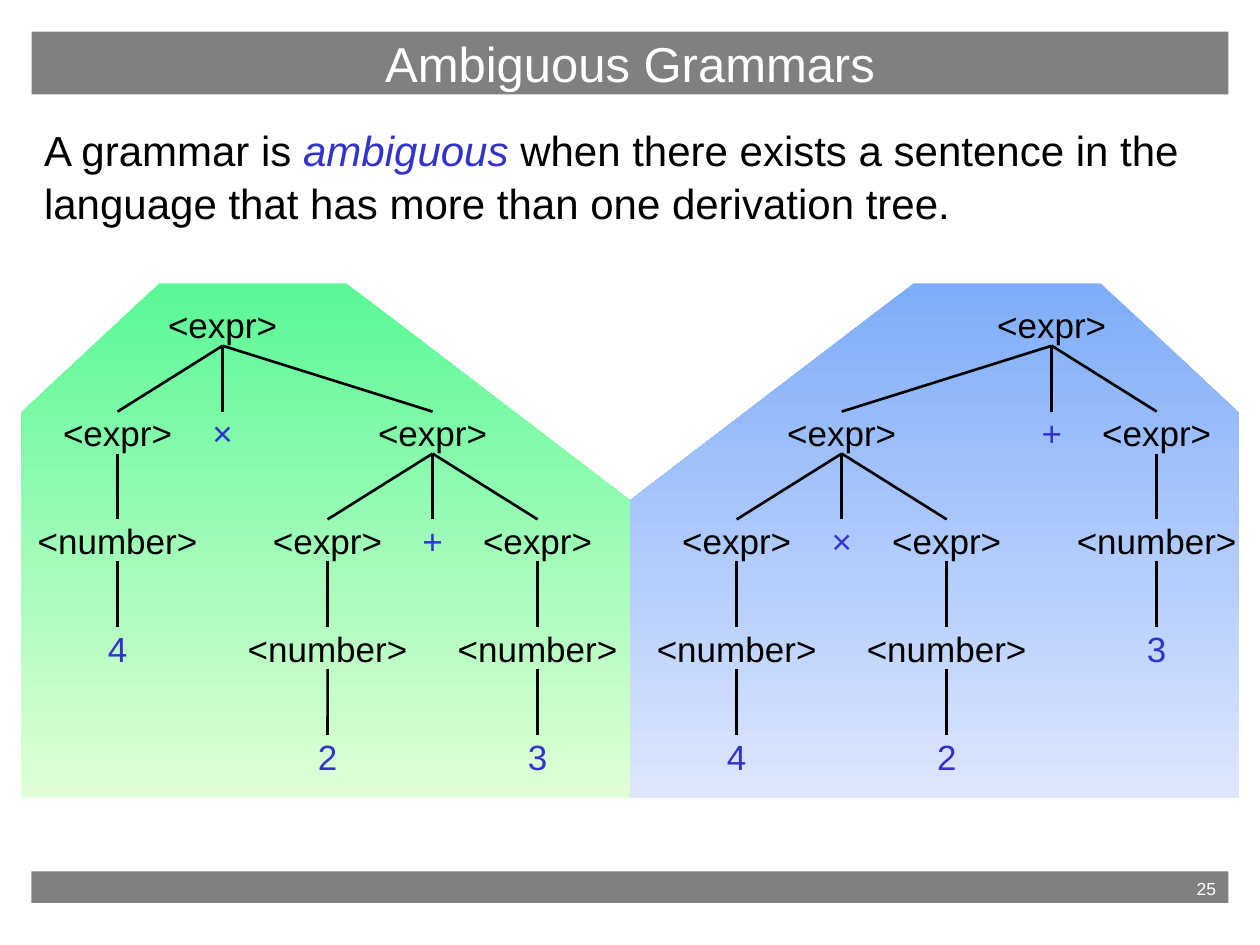
from lxml import etree
from pptx import Presentation, util as u
from pptx.dml.color import RGBColor
from pptx.enum import shapes, text
from pptx.oxml import ns

HUES = {
    "ink": "000000", "term": "3333CC", "bar": "808080", "white": "FFFFFF",
    "green": ("5AF896", "E1FFD7"), "blue": ("7FADF9", "DDE6FF"),
}
FACE = "Arial"
COL, ROW, TOP, TALL = 60, 61.6, 173.6, 24  # tree grid in points
WIDE = {"<expr>": 62.4, "<number>": 91.4}
MID = 360
EDGE = [(198, 162), (91.4, 162), (12, 236.2), (12, 456), (360, 456), (360, 286)]


def hue(name):
    return RGBColor.from_string(HUES[name])


def style(font, size, name):
    font.name, font.size = FACE, u.Pt(size)
    font.color.rgb = hue(name)


def place(shape, x, y, w, h):
    shape.left, shape.top, shape.width, shape.height = map(u.Pt, (x, y, w, h))


def paint(shape, name):
    shape.fill.solid()
    shape.fill.fore_color.rgb = hue(name)


def head(slide, words):
    title = slide.shapes.title
    place(title, 18, 18, 684, 36)
    paint(title, "bar")
    frame = title.text_frame
    frame.text = words
    frame.auto_size = text.MSO_AUTO_SIZE.NONE
    frame.vertical_anchor = text.MSO_ANCHOR.MIDDLE
    para = frame.paragraphs[0]
    para.alignment = text.PP_ALIGN.CENTER
    style(para.font, 28, "white")


def body(slide, parts):
    hold = slide.placeholders[1]
    place(hold, 18, 66, 684, 420)
    frame = hold.text_frame
    frame.auto_size = text.MSO_AUTO_SIZE.NONE
    para = frame.paragraphs[0]
    para.space_before, para.line_spacing = u.Pt(6), 1.05
    # No bullet, no indent
    props = para._p.get_or_add_pPr()
    props.set("marL", "0")
    props.set("indent", "0")
    etree.SubElement(props, ns.qn("a:buNone"))
    style(para.font, 24, "ink")
    for words, key in parts:
        run = para.add_run()
        run.text = words
        if key:
            run.font.italic = True
            run.font.color.rgb = hue("term")


def foot(slide, words):
    bar = slide.shapes.add_shape(
        shapes.MSO_SHAPE.RECTANGLE, *map(u.Pt, (18, 498, 684, 18)))
    bar.shadow.inherit = False
    paint(bar, "bar")
    bar.line.fill.background()
    frame = bar.text_frame
    frame.text = words
    frame.vertical_anchor = text.MSO_ANCHOR.TOP
    para = frame.paragraphs[0]
    para.alignment = text.PP_ALIGN.RIGHT
    style(para.font, 10, "white")


def patch(slide, pts, name):
    pen = slide.shapes.build_freeform(*pts[0], scale=u.Pt(1))
    pen.add_line_segments(pts[1:], close=True)
    shape = pen.convert_to_shape()
    shape.shadow.inherit = False
    shape.line.fill.background()
    shape.fill.gradient()
    shape.fill.gradient_angle = 270
    for stop, tint, spot in zip(shape.fill.gradient_stops, HUES[name], (0, 1)):
        stop.color.rgb = RGBColor.from_string(tint)
        stop.position = spot


def label(slide, words, x, y, name):
    wide = WIDE.get(words, 11.6)
    box = slide.shapes.add_textbox(*map(u.Pt, (x - wide / 2, y, wide, TALL)))
    frame = box.text_frame
    frame.text = words
    frame.word_wrap = False
    frame.vertical_anchor = text.MSO_ANCHOR.MIDDLE
    frame.margin_left = frame.margin_right = 0
    frame.margin_top = frame.margin_bottom = 0
    para = frame.paragraphs[0]
    para.alignment = text.PP_ALIGN.CENTER
    style(para.font, 20, name)
    return box


def link(slide, top, low):
    line = slide.shapes.add_connector(shapes.MSO_CONNECTOR.STRAIGHT, 0, 0, 0, 0)
    line.begin_connect(top, 2)
    line.end_connect(low, 0)
    line.line.width = u.Pt(1.5)
    line.line.color.rgb = hue("ink")
    etree.SubElement(line._element.spPr, ns.qn("a:effectLst"))


# A node is (words, column, children)
def num(col, digit):
    return "<expr>", col, [("<number>", col, [(digit, col, [])])]


def pair(col, sign, left, right):
    return "<expr>", col, [left, (sign, col, []), right]


def tree(slide, node, x, row=0):
    words, col, kids = node
    box = label(slide, words, x + col * COL, TOP + row * ROW,
                "ink" if kids else "term")
    for kid in kids:
        link(slide, box, tree(slide, kid, x, row + 1))
    return box


def main():
    deck = Presentation()
    deck.slide_width, deck.slide_height = u.Pt(720), u.Pt(540)
    slide = deck.slides.add_slide(deck.slide_layouts[1])

    # Title, definition and page bar
    head(slide, "Ambiguous Grammars")
    body(slide, [
        ("A grammar is ", False),
        ("ambiguous", True),
        (" when there exists a sentence in the language that has more than"
         " one derivation tree.", False),
    ])
    foot(slide, "25")

    # Mirrored backgrounds
    patch(slide, EDGE, "green")
    patch(slide, [(2 * MID - x, y) for x, y in EDGE], "blue")

    # The two derivation trees
    tree(slide, pair(1, "×", num(0, "4"),
                     pair(3, "+", num(2, "2"), num(4, "3"))), 67.2)
    tree(slide, pair(3, "+", pair(1, "×", num(0, "4"), num(2, "2")),
                     num(4, "3")), 421)

    deck.save("out.pptx")


if __name__ == "__main__":
    main()
